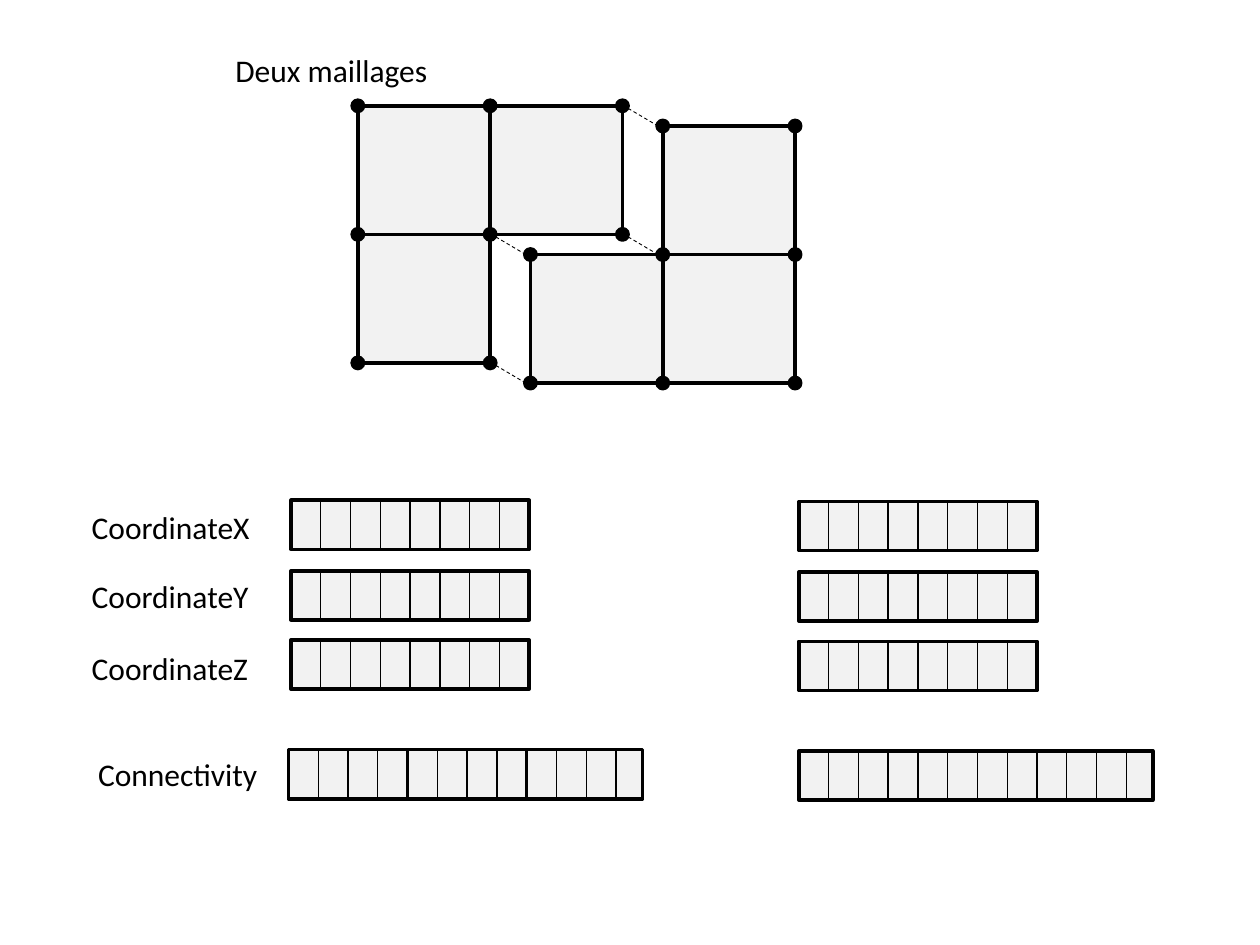
from dataclasses import dataclass
from typing import Any

from lxml.etree import SubElement
from pptx import Presentation
from pptx.dml.color import RGBColor
from pptx.enum.dml import MSO_LINE
from pptx.enum.shapes import MSO_CONNECTOR, MSO_SHAPE
from pptx.enum.text import MSO_AUTO_SIZE
from pptx.oxml.ns import qn
from pptx.util import Inches, Pt

# All lengths are columns and rows of a fine grid, 1000 by 750 on the slide.
GRID = Inches(0.01)
SLIDE_COLUMNS, SLIDE_ROWS = 1000, 750
CELL_WIDTH, CELL_HEIGHT = 105, 102
NODE_SIZE = 9
SLOT_WIDTH = 189 / 8
ARRAY_HEIGHT = 39

COLORS = {"ink": "000000", "cell": "F2F2F2"}
OUTLINE = {"width": Pt(2)}
DIVIDER = {"width": Pt(0.75)}
HEAVY_DIVIDER = {"width": Pt(1.5)}
LINK = {"width": Pt(0.5), "dash_style": MSO_LINE.DASH}
LABEL_FONT = {"name": "Calibri", "size": Pt(18)}
LABEL_FRAME = {"word_wrap": False, "auto_size": MSO_AUTO_SIZE.SHAPE_TO_FIT_TEXT}


@dataclass(frozen=True)
class Mesh:
    """Square cells, given as (column, row), around a grid origin."""
    left: int
    top: int
    cells: tuple[tuple[int, int], ...]

    def nodes(self) -> set[tuple[int, int]]:
        """Return every corner of the cells once."""
        return {(column + x, row + y) for column, row in self.cells
                for x in (0, 1) for y in (0, 1)}

    def position(self, column: int, row: int) -> tuple[int, int]:
        """Return the place of a corner on the slide's grid."""
        return self.left + column * CELL_WIDTH, self.top + row * CELL_HEIGHT


@dataclass(frozen=True)
class Label:
    """A line of text and its box."""
    text: str
    left: int
    top: int
    width: int


@dataclass(frozen=True)
class Array:
    """A row of slots; every group-th divider is heavy."""
    left: int
    top: int
    width: int
    dividers: int
    group: int = 0


LEFT_MESH = Mesh(284, 84, ((0, 0), (1, 0), (0, 1)))
RIGHT_MESH = Mesh(316, 100, ((2, 0), (1, 1), (2, 1)))
MESHES = (LEFT_MESH, RIGHT_MESH)

LABELS = (
    Label("Deux maillages", 177, 36, 174),
    Label("CoordinateX", 63, 398, 147),
    Label("CoordinateY", 63, 453, 147),
    Label("CoordinateZ", 63, 510, 146),
    Label("Connectivity", 68, 594, 148),
)

ARRAYS = [Array(left, top + shift, 189, 8)
          for left, shift in ((231, 0), (634, 1)) for top in (397, 453, 508)]
ARRAYS += [Array(229, 595, 281, 11, 4), Array(634, 596, 281, 11, 4)]


def units(*lengths: float) -> list[int]:
    """Turn grid lengths into slide lengths."""
    return [round(length * GRID) for length in lengths]


def apply_format(target: Any, values: dict[str, Any]) -> None:
    """Set each format value on the target."""
    for name, value in values.items():
        setattr(target, name, value)


def add_block(slide: Any, kind: MSO_SHAPE, box: tuple[float, ...], color: str) -> None:
    """Draw a filled shape with an ink outline."""
    shape = slide.shapes.add_shape(kind, *units(*box))
    shape.shadow.inherit = False
    shape.fill.solid()
    shape.fill.fore_color.rgb = RGBColor.from_string(COLORS[color])
    shape.line.color.rgb = RGBColor.from_string(COLORS["ink"])
    apply_format(shape.line, OUTLINE)


def add_line(slide: Any, ends: tuple[float, ...], style: dict[str, Any]) -> None:
    """Draw a straight ink line without a shadow."""
    connector = slide.shapes.add_connector(MSO_CONNECTOR.STRAIGHT, *units(*ends))
    connector.line.color.rgb = RGBColor.from_string(COLORS["ink"])
    apply_format(connector.line, style)
    SubElement(connector._element.spPr, qn("a:effectLst"))


def add_label(slide: Any, label: Label) -> None:
    """Write one label."""
    box = slide.shapes.add_textbox(*units(label.left, label.top, label.width, 40))
    apply_format(box.text_frame, LABEL_FRAME)
    run = box.text_frame.paragraphs[0].add_run()
    run.text = label.text
    apply_format(run.font, LABEL_FONT)
    run.font.color.rgb = RGBColor.from_string(COLORS["ink"])


def add_array(slide: Any, array: Array) -> None:
    """Draw an array and its dividers."""
    add_block(slide, MSO_SHAPE.RECTANGLE,
              (array.left, array.top, array.width, ARRAY_HEIGHT), "cell")
    for index in range(1, array.dividers + 1):
        x = array.left + index * SLOT_WIDTH
        heavy = array.group and index % array.group == 0
        add_line(slide, (x, array.top, x, array.top + ARRAY_HEIGHT),
                 HEAVY_DIVIDER if heavy else DIVIDER)


def add_meshes(slide: Any) -> None:
    """Draw the cells, then the nodes, then links between shared nodes."""
    for mesh in MESHES:
        for cell in mesh.cells:
            add_block(slide, MSO_SHAPE.RECTANGLE,
                      (*mesh.position(*cell), CELL_WIDTH, CELL_HEIGHT), "cell")
    for mesh in MESHES:
        for node in sorted(mesh.nodes()):
            x, y = mesh.position(*node)
            add_block(slide, MSO_SHAPE.OVAL, (x - NODE_SIZE / 2, y - NODE_SIZE / 2,
                                              NODE_SIZE, NODE_SIZE), "ink")
    for node in sorted(LEFT_MESH.nodes() & RIGHT_MESH.nodes()):
        start_x, start_y = LEFT_MESH.position(*node)
        end_x, end_y = RIGHT_MESH.position(*node)
        add_line(slide, (start_x - 4, start_y - 3, end_x + 3, end_y + 4), LINK)


def main() -> None:
    """Build the slide and save it."""
    presentation = Presentation()
    presentation.slide_width, presentation.slide_height = units(SLIDE_COLUMNS, SLIDE_ROWS)
    slide = presentation.slides.add_slide(presentation.slide_layouts[6])
    add_meshes(slide)
    for label in LABELS:
        add_label(slide, label)
    for array in ARRAYS:
        add_array(slide, array)
    presentation.save("out.pptx")


main()
